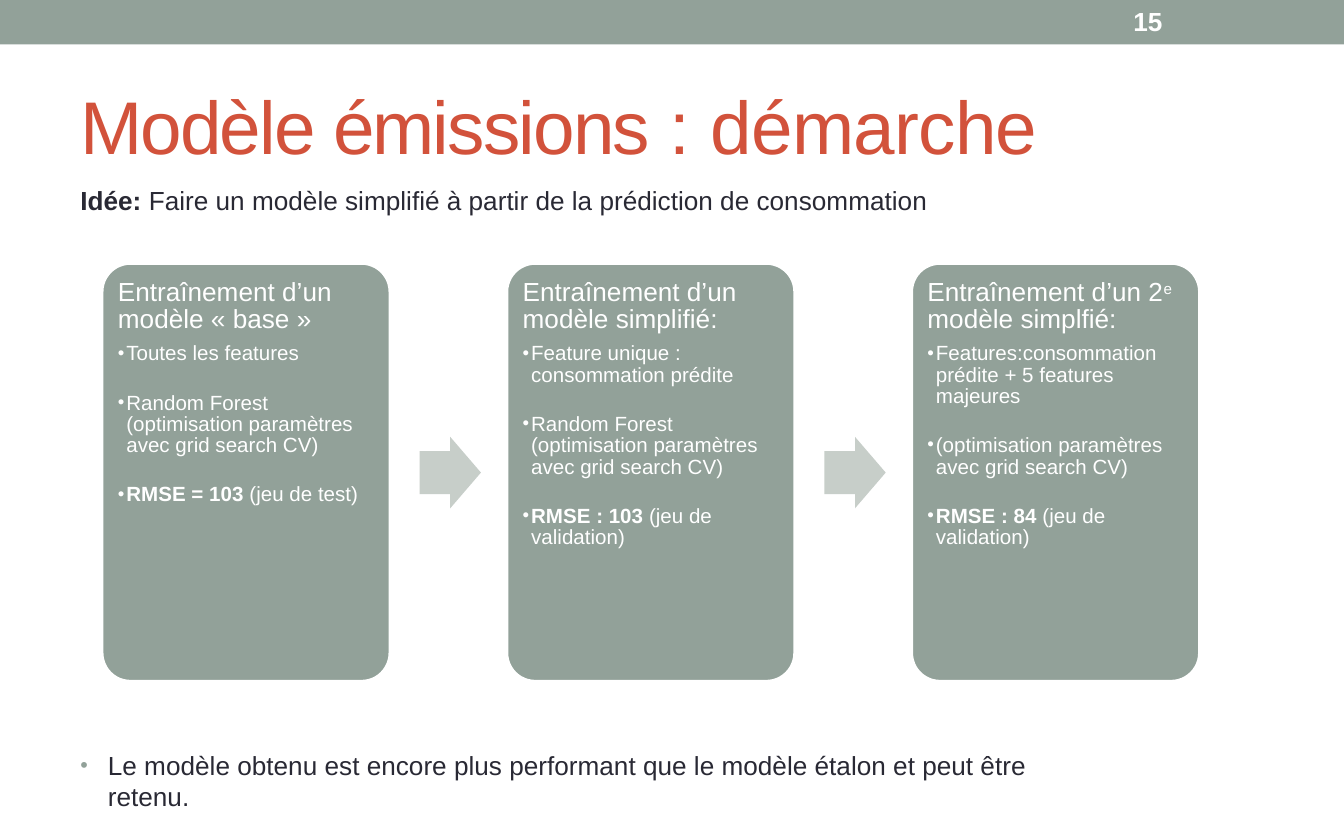
from lxml import etree
from pptx import Presentation
from pptx.dml.color import RGBColor
from pptx.enum.shapes import MSO_SHAPE
from pptx.enum.text import MSO_ANCHOR, PP_ALIGN
from pptx.oxml.ns import qn
from pptx.util import Cm, Pt

RECT, ROUND, ARROW = MSO_SHAPE.RECTANGLE, MSO_SHAPE.ROUNDED_RECTANGLE, MSO_SHAPE.RIGHT_ARROW
TOP, LEFT = MSO_ANCHOR.TOP, PP_ALIGN.LEFT
SAGE = RGBColor(0x92, 0xA1, 0x99)
PALE = RGBColor(0xC7, 0xCE, 0xC9)
RED = RGBColor(0xD2, 0x52, 0x3B)
INK = RGBColor(0x29, 0x29, 0x34)
WHITE = RGBColor(0xFF, 0xFF, 0xFF)

PLAIN, BOLD = {}, {"b": "1"}
TUNE = ("(optimisation paramètres avec grid search CV)", PLAIN)
FOREST = ("Random Forest " + TUNE[0], PLAIN)

TITLE = [
    ("Modèle émissions ", {"spc": "-95"}),
    (": ", PLAIN),
    ("démarche", {"spc": "-40"}),
]
IDEA = [
    ("Idée: ", BOLD),
    ("Faire un modèle simplifié à partir de la prédiction de consommation", PLAIN),
]
NOTE = [("Le modèle obtenu est encore plus performant que le modèle étalon "
         "et peut être retenu.", PLAIN)]
CARDS = [
    ([("Entraînement d’un modèle « base »", PLAIN)],
     [[("Toutes les features", PLAIN)],
      [FOREST],
      [("RMSE = 103 ", BOLD), ("(jeu de test)", PLAIN)]]),
    ([("Entraînement d’un modèle simplifié:", PLAIN)],
     [[("Feature unique : consommation prédite", PLAIN)],
      [FOREST],
      [("RMSE : 103 ", BOLD), ("(jeu de validation)", PLAIN)]]),
    ([("Entraînement d’un 2", PLAIN), ("e ", {"baseline": "24000"}),
      ("modèle simplfié:", PLAIN)],
     [[("Features:consommation prédite + 5 features majeures", PLAIN)],
      [TUNE],
      [("RMSE : 84 ", BOLD), ("(jeu de validation)", PLAIN)]]),
]

deck = Presentation()
deck.slide_width, deck.slide_height = Cm(25.4), Cm(15.88)
slide = deck.slides.add_slide(deck.slide_layouts[6])


def bullet(para, hang, tint, size):
    props = para._p.get_or_add_pPr()
    props.set("marL", str(hang))
    props.set("indent", str(-hang))
    color = etree.SubElement(props, qn("a:buClr"))
    etree.SubElement(color, qn("a:srgbClr")).set("val", str(tint))
    etree.SubElement(props, qn("a:buSzPct")).set("val", str(size * 1000))
    etree.SubElement(props, qn("a:buFont")).set("typeface", "Arial")
    etree.SubElement(props, qn("a:buChar")).set("char", "•")


def write(para, runs, size, tint, bold=None):
    para.alignment = LEFT
    font = para.font
    font.name, font.size, font.bold = "Arial", Pt(size), bold
    font.color.rgb = tint
    for text, marks in runs:
        run = para.add_run()
        run.text = text
        for key, val in marks.items():
            run._r.get_or_add_rPr().set(key, val)


def label(x, y, w, h, runs, size, tint, bold=None, dot=False):
    frame = slide.shapes.add_textbox(Cm(x), Cm(y), Cm(w), Cm(h)).text_frame
    frame.word_wrap = True
    frame.margin_left = frame.margin_right = frame.margin_top = frame.margin_bottom = 0
    para = frame.paragraphs[0]
    if dot:
        bullet(para, Cm(0.52), SAGE, 82)
    write(para, runs, size, tint, bold)


def block(kind, x, y, w, h, fill):
    shape = slide.shapes.add_shape(kind, Cm(x), Cm(y), Cm(w), Cm(h))
    shape.shadow.inherit = False
    shape.fill.solid()
    shape.fill.fore_color.rgb = fill
    shape.line.fill.background()
    return shape


def card(x, head, items):
    shape = block(ROUND, x, 4.97, 5.46, 7.92, SAGE)
    shape.adjustments[0] = 0.1
    shape.line.color.rgb = WHITE
    shape.line.width = Pt(2.08)
    frame = shape.text_frame
    frame.word_wrap = True
    frame.vertical_anchor = TOP
    frame.margin_left = frame.margin_right = frame.margin_top = Cm(0.15)
    para = frame.paragraphs[0]
    para.line_spacing = Pt(14.5)
    write(para, head, 14, WHITE)
    for i, runs in enumerate(items):
        para = frame.add_paragraph()
        para.line_spacing = Pt(11.4)
        para.space_before = Pt(15 if i else 5.6)
        bullet(para, Cm(0.16), WHITE, 91)
        write(para, runs, 11, WHITE)


block(RECT, 0, 0, 25.4, 0.84, SAGE)
label(21.42, 0.11, 1, 0.6, [("15", PLAIN)], 14, WHITE, bold=True)
label(1.52, 1.51, 23, 1.7, TITLE, 40, RED)
label(1.52, 3.49, 23, 0.6, IDEA, 14, INK)

START, STEP = 1.92, 7.65
for i, (head, items) in enumerate(CARDS):
    x = START + i * STEP
    card(x, head, items)
    if i < len(CARDS) - 1:
        arrow = block(ARROW, x + 6.01, 8.26, 1.16, 1.35, PALE)
        arrow.adjustments[0], arrow.adjustments[1] = 0.6, 0.5

label(1.52, 14.16, 19.4, 1.2, NOTE, 14, INK, dot=True)
deck.save("out.pptx")
